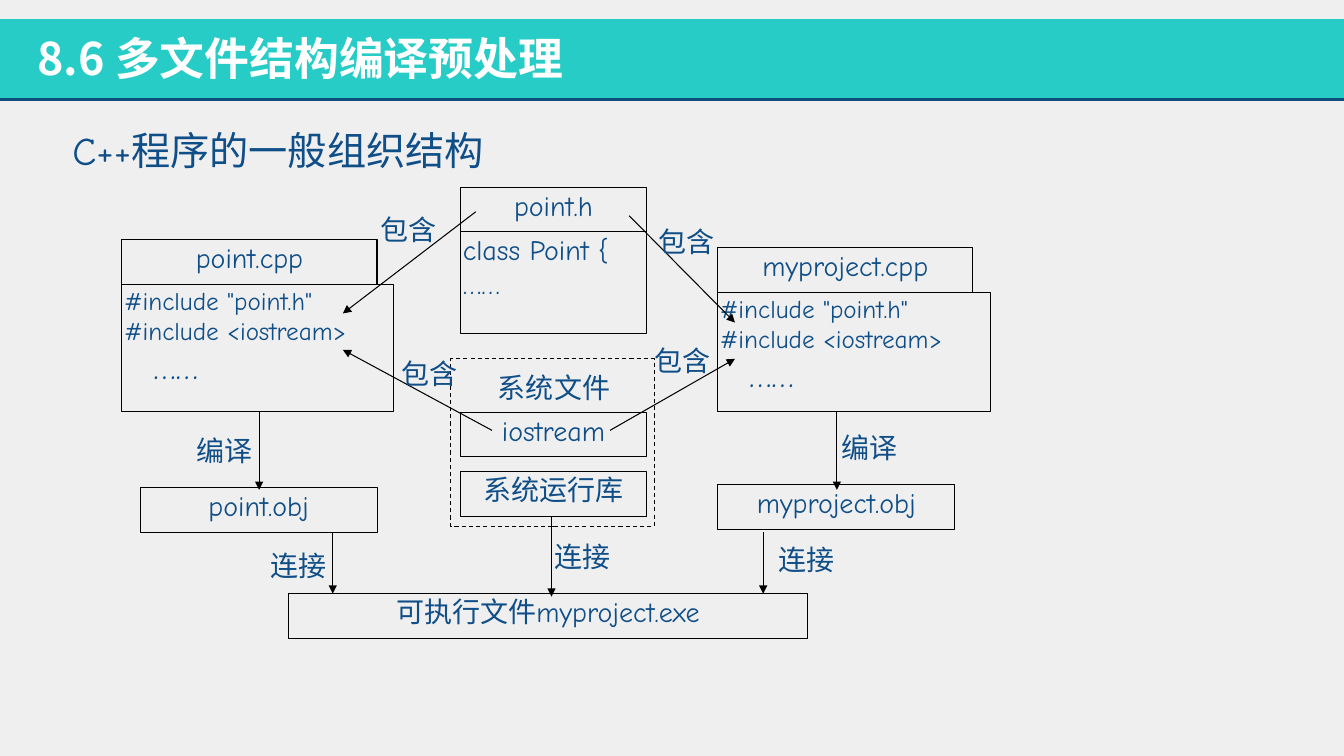
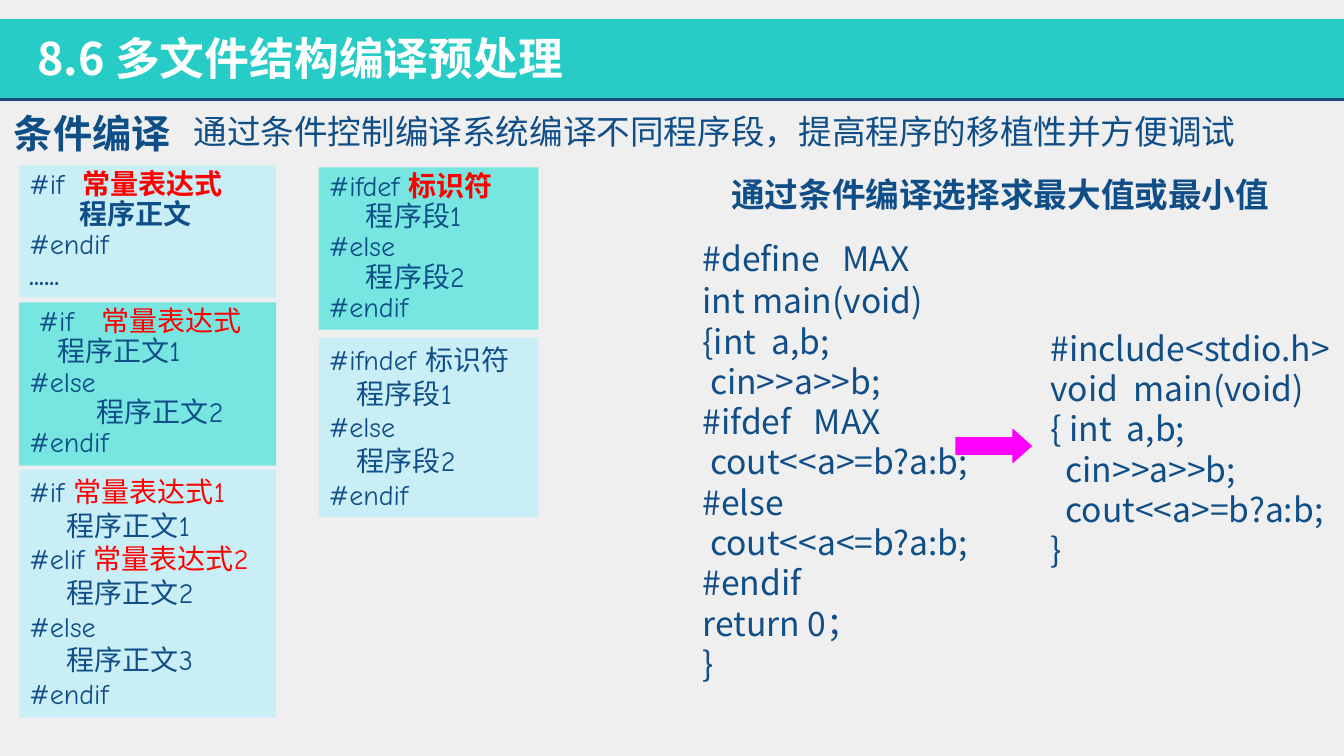
from dataclasses import dataclass

from lxml import etree
from pptx import Presentation
from pptx.dml.color import RGBColor
from pptx.enum.dml import MSO_LINE
from pptx.enum.shapes import MSO_CONNECTOR, MSO_SHAPE
from pptx.enum.text import MSO_ANCHOR, MSO_AUTO_SIZE, PP_ALIGN
from pptx.oxml.ns import qn
from pptx.util import Inches, Pt


@dataclass(frozen=True)
class Theme:
    page: str = "EFEFEF"
    band: str = "26CCC5"
    rule: str = "104D7E"
    ink: str = "104E87"
    white: str = "FFFFFF"
    black: str = "000000"
    red: str = "FF0000"
    arrow: str = "FF00FF"
    pale: str = "C9EEF6"
    mint: str = "77E6E1"
    hand: str = "Comic Neue"
    sans: str = "Noto Sans CJK JP"
    title: int = 32
    heading: int = 28
    lead: int = 24
    body: int = 20
    small: int = 18
    code_pitch: float = 28.8
    hairline: float = 0.75


@dataclass(frozen=True)
class Line:
    """One paragraph: runs are strings or (text, format overrides) pairs."""
    runs: tuple
    left: float = 0
    indent: float = 0


T = Theme()
RED = {"color": T.red}
RED_BOLD = {"color": T.red, "bold": True}
BOLD = {"bold": True}

TITLE = "8.6 多文件结构编译预处理"

# Slide 1: the file diagram
STRUCTURE = "C++程序的一般组织结构"
INCLUDES = ['#include "point.h"', "#include <iostream>",
            Line((("……", {"size": T.lead}),), indent=0.29)]
SYSTEM_FRAME = (4.47, 3.56, 2.02, 1.66)
NAME_H = 0.44
NAME_BOXES = [  # text, left, top, width
    ("point.cpp", 1.21, 2.38, 2.53),
    ("point.h", 4.57, 1.86, 1.84),
    ("myproject.cpp", 7.12, 2.46, 2.53),
    ("iostream", 4.57, 4.09, 1.84),
    ("系统运行库", 4.57, 4.68, 1.84),
    ("point.obj", 1.39, 4.84, 2.35),
    ("myproject.obj", 7.12, 4.81, 2.35),
    ("可执行文件myproject.exe", 2.86, 5.89, 5.15),
]
CONTENT_BOXES = [  # lines, size, position
    (INCLUDES, T.small, (1.21, 2.82, 2.69, 1.26)),
    (INCLUDES, T.small, (7.12, 2.9, 2.7, 1.18)),
    (["class Point {", "……"], T.body, (4.57, 2.3, 1.84, 1.01)),
]
ARROWS = [  # from x, y, to x, y
    (6.24, 2.14, 7.29, 3.2), (4.72, 2.1, 3.4, 3.11),
    (4.88, 4.27, 3.4, 3.47), (6.05, 4.27, 7.29, 3.56),
    (2.57, 4.08, 2.57, 4.86), (8.3, 4.08, 8.3, 4.86),
    (3.3, 5.28, 3.3, 5.89), (5.47, 5.13, 5.47, 5.92),
    (7.57, 5.28, 7.57, 5.89),
]
LABELS = [  # text, first-line indent, position
    ("包含", 0.29, (3.34, 2.11, 1.13, 0.36)),
    ("包含", 0.29, (6.14, 2.23, 1.05, 0.39)),
    ("包含", 0.29, (3.62, 3.54, 1, 0.38)),
    ("包含", 0.29, (6.1, 3.41, 1.05, 0.25)),
    ("编译", 0.29, (1.42, 4.3, 1.32, 0.23)),
    ("编译", 0.29, (7.98, 4.27, 1, 0.35)),
    ("连接", 0.29, (2.16, 5.44, 1.31, 0.27)),
    ("连接", 0.29, (5.12, 5.35, 1.03, 0.35)),
    ("连接", 0.29, (7.25, 5.38, 1.2, 0.39)),
    ("系统文件", 0, (4.55, 3.68, 1.89, 0.37)),
]

# Slide 2: conditional compilation
TOPIC = "条件编译"
PURPOSE = "通过条件控制编译系统编译不同程序段，提高程序的移植性并方便调试"
EXAMPLE = "通过条件编译选择求最大值或最小值"
PANELS = [  # fill, line spacing, position, lines
    (T.pale, 0.9, (0.19, 1.64, 2.55, 1.31), [
        Line(("#if  ", ("常量表达式", RED_BOLD))),
        Line((("     程序正文", BOLD),)),
        "#endif",
        Line((("......", BOLD),)),
    ]),
    (T.mint, 0.9, (0.19, 3, 2.55, 1.62), [
        Line((" #if   ", ("常量表达式", RED))),
        "   程序正文1",
        "#else",
        Line(("程序正文2",), left=0.67),
        "#endif",
    ]),
    (T.pale, 1.0, (0.19, 4.66, 2.55, 2.46), [
        Line(("#if ", ("常量表达式1", RED))),
        "    程序正文1",
        Line(("#elif ", ("常量表达式2", RED))),
        "    程序正文2",
        "#else",
        "    程序正文3",
        "#endif",
    ]),
    (T.mint, 0.9, (3.16, 1.66, 2.18, 1.61), [
        Line(("#ifdef ", ("标识符", RED_BOLD))),
        "    程序段1",
        "#else",
        "    程序段2",
        "#endif",
    ]),
    (T.pale, 1.0, (3.16, 3.35, 2.18, 1.78), [
        "#ifndef 标识符",
        "   程序段1",
        "#else",
        "   程序段2",
        "#endif",
    ]),
]
CODE = [  # position, lines
    ((6.87, 2.31, 2.4, 0.51), ["#define   MAX"]),
    ((6.87, 2.73, 2.92, 4.14), [
        "int main(void)",
        "{int  a,b;",
        " cin>>a>>b;",
        "#ifdef   MAX",
        " cout<<a>=b?a:b;",
        "#else",
        " cout<<a<=b?a:b;",
        "#endif",
        "return 0；",
        "}",
    ]),
    ((10.32, 3.2, 3.08, 2.93), [
        "#include<stdio.h>",
        "void  main(void)",
        "{ int  a,b;",
        "  cin>>a>>b;",
        "  cout<<a>=b?a:b;",
        "}",
    ]),
]
RESULT_ARROW = (9.48, 4.26, 0.75, 0.33)


def rgb(value):
    return RGBColor.from_string(value)


def inches(values):
    return [Inches(v) for v in values]


def format_run(r, size, font, color, bold):
    r.font.size = Pt(size)
    r.font.name = font
    r.font.bold = bold
    r.font.color.rgb = rgb(color)
    ea = etree.SubElement(r.font._element, qn("a:ea"))
    ea.set("typeface", font)


def write(sp, lines, size=T.body, font=T.hand, color=T.ink, bold=False,
          align=PP_ALIGN.LEFT, anchor=MSO_ANCHOR.TOP, margins=(0.1, 0.05),
          spacing=None, wrap=True):
    tf = sp.text_frame
    tf.word_wrap = wrap
    tf.auto_size = MSO_AUTO_SIZE.NONE if wrap else MSO_AUTO_SIZE.SHAPE_TO_FIT_TEXT
    tf.vertical_anchor = anchor
    tf.margin_left = tf.margin_right = Inches(margins[0])
    tf.margin_top = tf.margin_bottom = Inches(margins[1])
    for i, line in enumerate(lines):
        if isinstance(line, str):
            line = Line((line,))
        p = tf.add_paragraph() if i else tf.paragraphs[0]
        p.alignment = align
        if spacing:
            p.line_spacing = spacing
        pPr = p._p.get_or_add_pPr()
        pPr.set("marL", str(Inches(line.left)))
        pPr.set("indent", str(Inches(line.indent)))
        for run in line.runs:
            text, changes = (run, {}) if isinstance(run, str) else run
            r = p.add_run()
            r.text = text
            base = {"size": size, "font": font, "color": color, "bold": bold}
            format_run(r, **{**base, **changes})


def add_box(s, at, fill=None, line=None, kind=MSO_SHAPE.RECTANGLE):
    sp = s.shapes.add_shape(kind, *inches(at))
    sp.shadow.inherit = False
    if fill:
        sp.fill.solid()
        sp.fill.fore_color.rgb = rgb(fill)
    else:
        sp.fill.background()
    if line:
        sp.line.color.rgb = rgb(line)
        sp.line.width = Pt(T.hairline)
    else:
        sp.line.fill.background()
    return sp


def add_text(s, at, *lines, **fmt):
    write(s.shapes.add_textbox(*inches(at)), lines, **fmt)


def add_line(s, ends, color=T.black, width=T.hairline, arrow=False):
    cx = s.shapes.add_connector(MSO_CONNECTOR.STRAIGHT, *inches(ends))
    cx.line.color.rgb = rgb(color)
    cx.line.width = Pt(width)
    if arrow:
        etree.SubElement(cx.line._get_or_add_ln(), qn("a:tailEnd")).set("type", "triangle")
    etree.SubElement(cx._element.spPr, qn("a:effectLst"))
    return cx


def dress_layout(layout, s):
    """Give the layout its background, title band and rule, drawn by way of slide s."""
    layout.background.fill.solid()
    layout.background.fill.fore_color.rgb = rgb(T.page)
    band = add_box(s, (0, 0.19, 13.33, 0.8), fill=T.band)
    rule = add_line(s, (0, 0.99, 13.33, 0.99), T.rule, 2)
    for part in (band, rule):
        layout.shapes._spTree.append(part._element)


def set_title(s):
    sp = s.shapes.title
    sp.left, sp.top, sp.width, sp.height = inches((0.27, 0.25, 8.78, 0.64))
    write(sp, [TITLE], size=T.title, font=T.sans, color=T.white, bold=True,
          anchor=MSO_ANCHOR.MIDDLE)


def build_structure(s):
    frame = add_box(s, SYSTEM_FRAME, line=T.black)
    frame.line.dash_style = MSO_LINE.DASH
    tight = (0.02, 0.01)
    for lines, size, at in CONTENT_BOXES:
        write(add_box(s, at, line=T.black), lines, size=size, margins=tight)
    for text, x, y, w in NAME_BOXES:
        write(add_box(s, (x, y, w, NAME_H), line=T.black), [text],
              align=PP_ALIGN.CENTER, margins=tight)
    for ends in ARROWS:
        add_line(s, ends, arrow=True)
    for text, indent, at in LABELS:
        add_text(s, at, Line((text,), indent=indent),
                 align=PP_ALIGN.CENTER, margins=(0.02, 0))
    add_text(s, (0.62, 1.2, 5.62, 0.57), STRUCTURE, size=T.heading,
             anchor=MSO_ANCHOR.MIDDLE)


def build_conditional(s):
    middle = MSO_ANCHOR.MIDDLE
    add_text(s, (0.04, 1.03, 1.78, 0.57), TOPIC, size=T.heading, font=T.sans,
             bold=True, anchor=middle)
    add_text(s, (1.82, 1.05, 11.09, 0.5), PURPOSE, size=T.lead, anchor=middle)
    for fill, spacing, at, lines in PANELS:
        write(add_box(s, at, fill=fill), lines, spacing=spacing)
    add_text(s, (6.68, 1.68, 6.48, 0.5), EXAMPLE, size=T.lead, font=T.sans,
             bold=True, align=PP_ALIGN.CENTER, anchor=middle)
    for at, lines in CODE:
        add_text(s, at, *lines, size=T.lead, font=T.sans,
                 spacing=Pt(T.code_pitch), wrap=False)
    arrow = add_box(s, RESULT_ARROW, fill=T.arrow, line=T.arrow,
                    kind=MSO_SHAPE.RIGHT_ARROW)
    arrow.adjustments[1] = 0.56


def main():
    prs = Presentation()
    prs.slide_width, prs.slide_height = inches((13.33, 7.5))
    layout = prs.slide_layouts[5]
    for i, build in enumerate((build_structure, build_conditional)):
        s = prs.slides.add_slide(layout)
        if i == 0:
            dress_layout(layout, s)
        set_title(s)
        build(s)
    prs.save("out.pptx")


if __name__ == "__main__":
    main()
